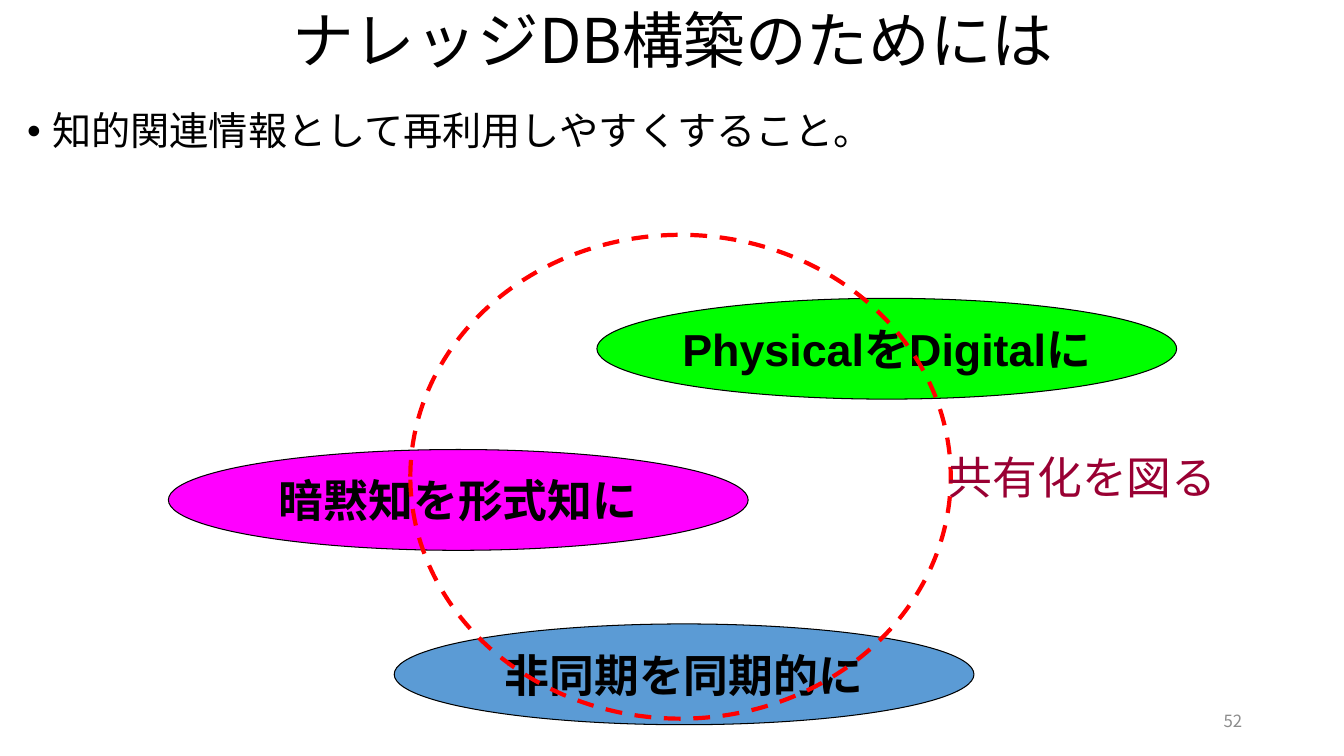
from pptx import Presentation
from pptx.dml.color import RGBColor
from pptx.enum.dml import MSO_LINE
from pptx.enum.shapes import MSO_SHAPE
from pptx.enum.text import MSO_ANCHOR, PP_ALIGN
from pptx.oxml.ns import qn
from pptx.util import Pt
from lxml import etree

LEFT, CENTER, RIGHT = PP_ALIGN.LEFT, PP_ALIGN.CENTER, PP_ALIGN.RIGHT
TOP, MIDDLE = MSO_ANCHOR.TOP, MSO_ANCHOR.MIDDLE
OVAL, DASH = MSO_SHAPE.OVAL, MSO_LINE.DASH

PX = 9144  # 100 px to the inch
SLIDE = (1333, 750)
CJK = "Noto Sans CJK JP"
COLORS = {"black": "000000", "gray": "8C8C8C", "magenta": "FF00FF", "green": "00FF00",
          "blue": "5B9BD5", "red": "FF0000", "wine": "990033"}

# text, box, paragraph format, font format, colour, anchor
PAGE_NUMBER = ("52", (942, 695, 300, 40), {"alignment": RIGHT},
               {"size": Pt(12), "name": CJK}, "gray", MIDDLE)
TITLE = ("ナレッジDB構築のためには", (13, 3, 1309, 81),
         {"alignment": CENTER, "line_spacing": 0.9},
         {"size": Pt(44), "name": CJK}, "black", MIDDLE)
BULLET = ("知的関連情報として再利用しやすくすること。", (17, 106, 1225, 570),
          {"alignment": LEFT, "line_spacing": 0.9, "space_before": Pt(10)},
          {"size": Pt(28), "name": CJK}, "black", TOP)
SHARING = ("共有化を図る", (930, 433, 290, 80), {"alignment": LEFT},
           {"size": Pt(32), "name": "Arial"}, "wine", MIDDLE)

OVAL_SIZE = (575, 100)
OVALS = [  # text, left, top, fill
    ("暗黙知を形式知に", 167, 446, "magenta"),
    ("PhysicalをDigitalに", 592, 296, "green"),
    ("非同期を同期的に", 391, 619, "blue"),
]
OVAL_FONT = {"size": Pt(32), "name": "Arial", "bold": True}
RING = (407, 233, 536, 480)


def px(box):
    return [v * PX for v in box]


def rgb(name):
    return RGBColor.from_string(COLORS[name])


def write(sp, text, para, font, color, anchor):
    tf = sp.text_frame
    tf.vertical_anchor = anchor
    p = tf.paragraphs[0]
    for key, value in para.items():
        setattr(p, key, value)
    r = p.add_run()
    r.text = text
    for key, value in font.items():
        setattr(r.font, key, value)
    r.font.color.rgb = rgb(color)
    etree.SubElement(r.font._element, qn("a:ea"), typeface=CJK)
    return p


def add_text(shapes, text, box, *style):
    sp = shapes.add_textbox(*px(box))
    sp.text_frame.word_wrap = True
    return write(sp, text, *style)


def add_bullet(p, indent):
    pPr = p._p.get_or_add_pPr()
    pPr.set("marL", str(indent * PX))
    pPr.set("indent", str(-indent * PX))
    etree.SubElement(pPr, qn("a:buFont"), typeface="Arial")
    etree.SubElement(pPr, qn("a:buChar"), char="•")


def add_oval(shapes, box, line, width):
    sp = shapes.add_shape(OVAL, *px(box))
    sp.shadow.inherit = False
    sp.line.color.rgb = rgb(line)
    sp.line.width = Pt(width)
    return sp


def main():
    prs = Presentation()
    prs.slide_width, prs.slide_height = px(SLIDE)
    shapes = prs.slides.add_slide(prs.slide_layouts[6]).shapes

    add_text(shapes, *PAGE_NUMBER)
    add_text(shapes, *TITLE)
    add_bullet(add_text(shapes, *BULLET), 25)

    for text, left, top, fill in OVALS:
        sp = add_oval(shapes, (left, top, *OVAL_SIZE), "black", 0.75)
        sp.fill.solid()
        sp.fill.fore_color.rgb = rgb(fill)
        sp.text_frame.word_wrap = False
        write(sp, text, {"alignment": CENTER}, OVAL_FONT, "black", MIDDLE)

    ring = add_oval(shapes, RING, "red", 3)
    ring.fill.background()
    ring.line.dash_style = DASH
    add_text(shapes, *SHARING)

    prs.save("out.pptx")


if __name__ == "__main__":
    main()
